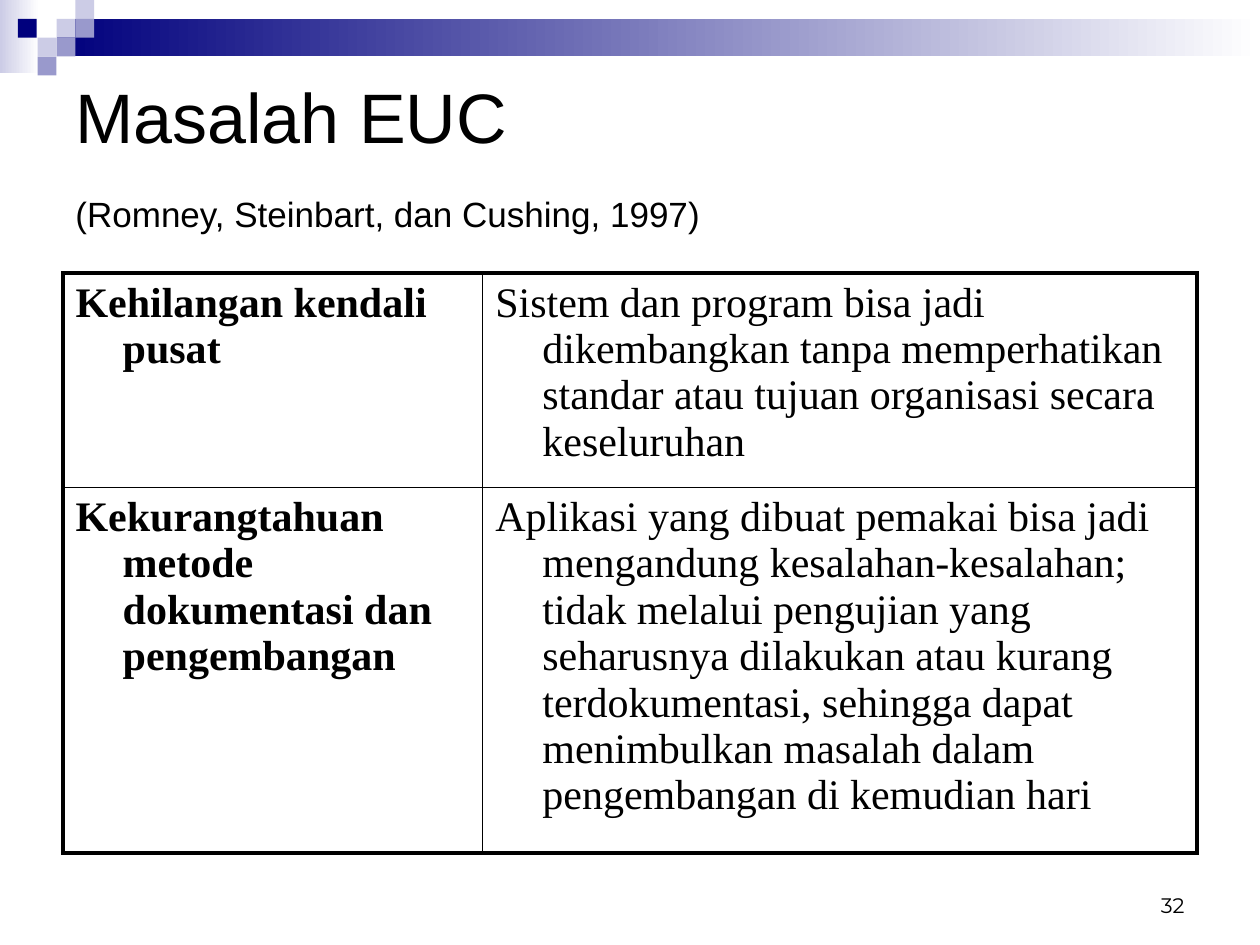
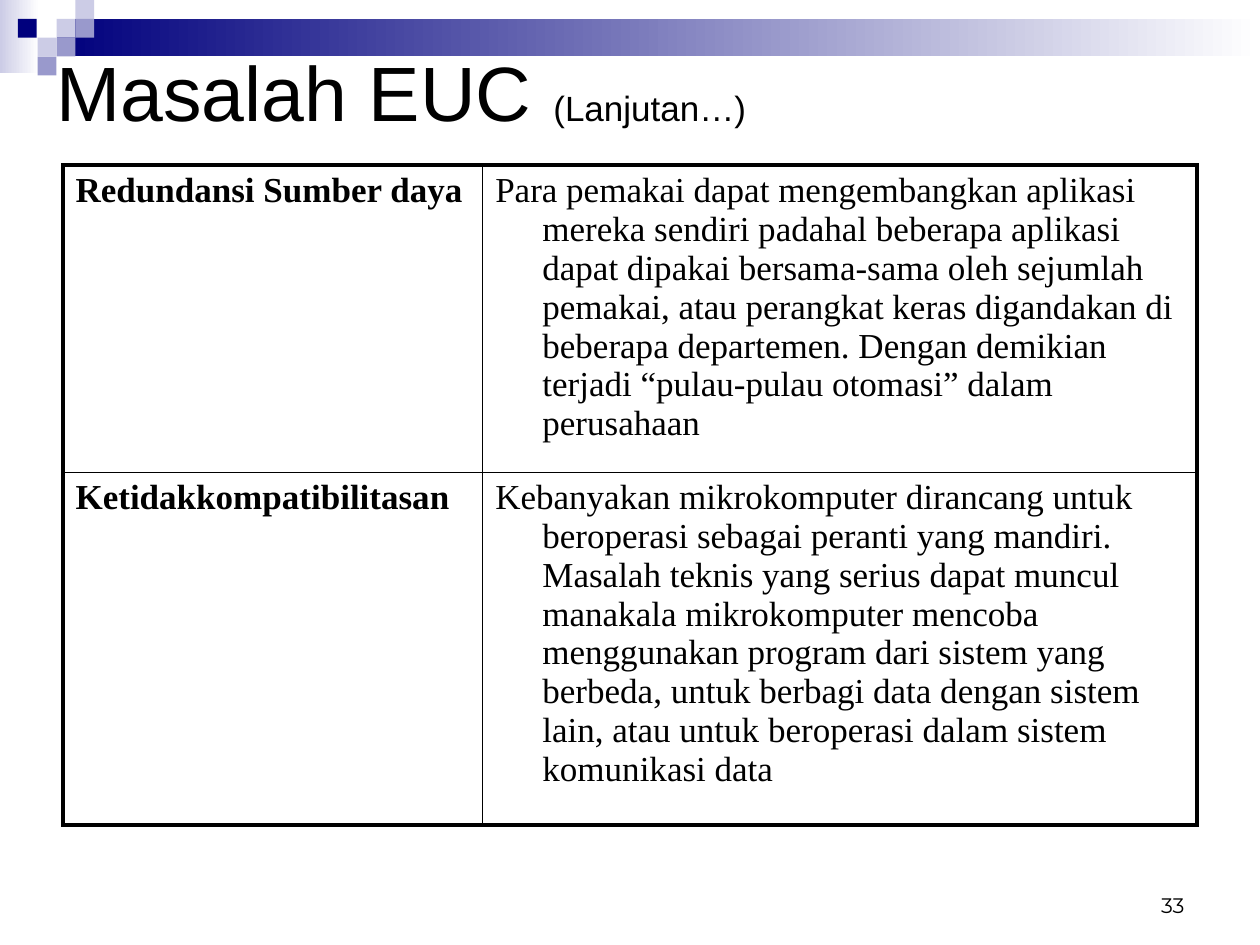
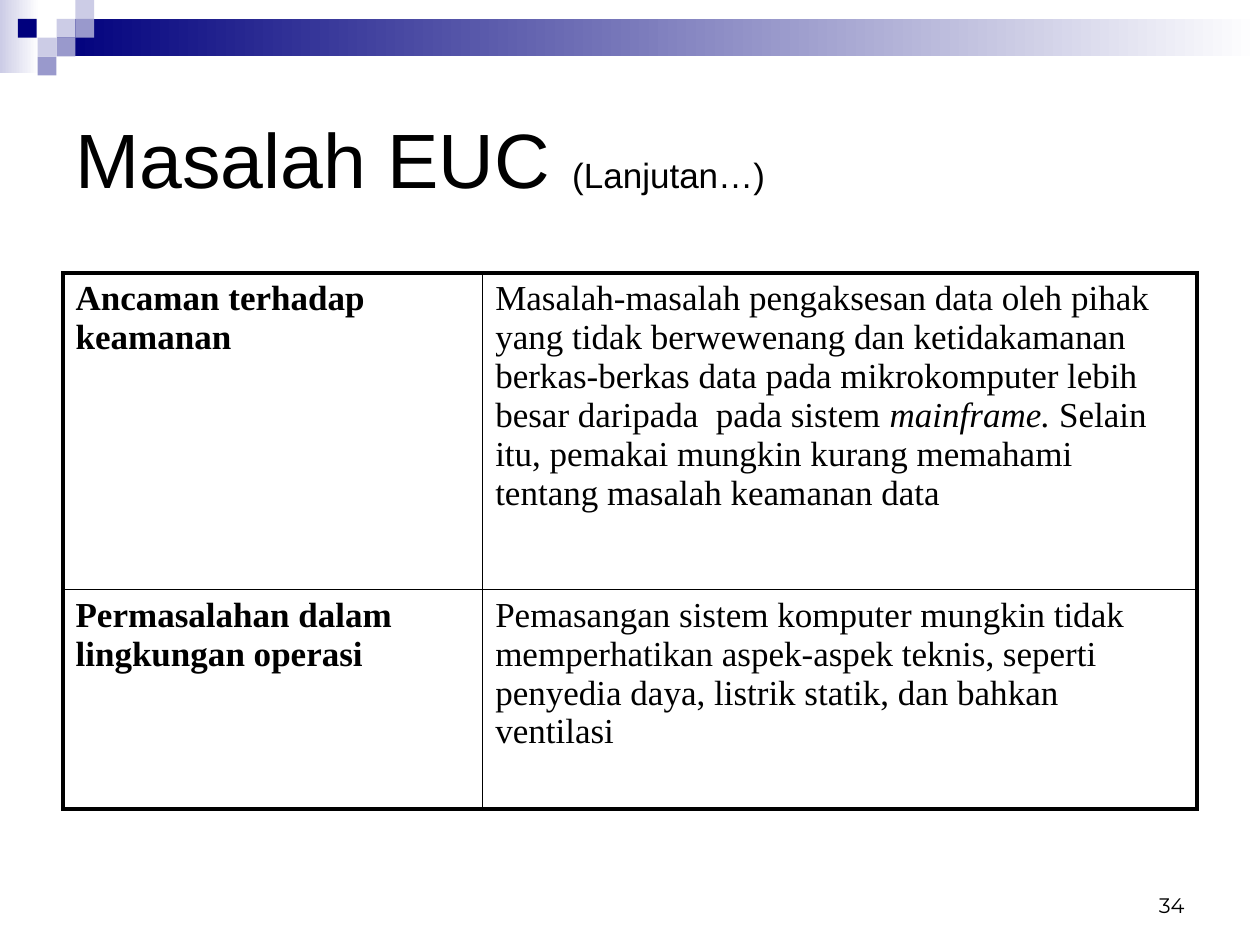
from lxml import etree
from pptx import Presentation
from pptx.dml.color import RGBColor
from pptx.enum.shapes import MSO_SHAPE
from pptx.enum.text import MSO_ANCHOR, PP_ALIGN
from pptx.oxml.ns import qn
from pptx.util import Cm, Pt

RECTANGLE = MSO_SHAPE.RECTANGLE
MIDDLE, BOTTOM = MSO_ANCHOR.MIDDLE, MSO_ANCHOR.BOTTOM
LEFT, RIGHT = PP_ALIGN.LEFT, PP_ALIGN.RIGHT

COLORS = {
    "text": "000000",
    "paper": "FFFFFF",
    "navy": "00007D",
    "violet": "9999CC",
    "pale": "CCCCE6",
}
TITLE_FONT, TABLE_FONT, NUMBER_FONT = "Arial", "Times New Roman", "Montserrat"
SQUARE = 0.38
MOSAIC = [
    (3, 1, "pale"),
    (4, 0, "pale"),
    (4, 1, "violet"),
    (2, 2, "pale"),
    (0.95, 1, "navy"),
    (3, 2, "violet"),
    (2, 3, "violet"),
]
COLUMNS = [8.46, 14.4]
OUTER_LINE, INNER_LINE = 2.5, 0.45
HANGING = 0.95

SLIDES = [
    {
        "number": 32,
        "title": [("Masalah EUC\v", 40), ("(Romney, Steinbart, dan Cushing, 1997)", 20), (" ", 40)],
        "title_at": (1.27, 1.27),
        "table_top": 5.51,
        "heights": [4.32, 7.37],
        "size": 24,
        "hanging": HANGING,
        "rows": [
            ("Kehilangan kendali pusat",
             ["Sistem dan program bisa jadi dikembangkan tanpa memperhatikan standar atau "
              "tujuan organisasi secara keseluruhan"]),
            ("Kekurangtahuan metode dokumentasi dan pengembangan",
             ["Aplikasi yang dibuat pemakai bisa jadi mengandung kesalahan-kesalahan; tidak "
              "melalui pengujian yang seharusnya dilakukan atau kurang terdokumentasi, "
              "sehingga dapat menimbulkan masalah dalam pengembangan di kemudian hari"]),
        ],
    },
    {
        "number": 33,
        "title": [("Masalah EUC ", 44), ("(Lanjutan…)", 20)],
        "title_at": (0.89, -0.08),
        "table_top": 3.33,
        "heights": [6.17, 7.11],
        "size": 20,
        "hanging": HANGING,
        "rows": [
            ("Redundansi Sumber daya",
             ["Para pemakai dapat mengembangkan aplikasi mereka sendiri padahal beberapa "
              "aplikasi dapat dipakai bersama-sama oleh sejumlah pemakai, atau perangkat "
              "keras digandakan di beberapa departemen. Dengan demikian terjadi "
              "“pulau-pulau otomasi” dalam perusahaan"]),
            ("Ketidakkompatibilitasan",
             ["Kebanyakan mikrokomputer dirancang untuk beroperasi sebagai peranti yang "
              "mandiri. Masalah teknis yang serius dapat muncul manakala mikrokomputer "
              "mencoba menggunakan program dari sistem yang berbeda, untuk berbagi data "
              "dengan sistem lain, atau untuk beroperasi dalam sistem komunikasi data"]),
        ],
    },
    {
        "number": 34,
        "title": [("Masalah EUC ", 44), ("(Lanjutan…)", 20)],
        "title_at": (1.27, 1.27),
        "table_top": 5.51,
        "heights": [6.38, 4.42],
        "size": 20,
        "hanging": 0,
        "rows": [
            ("Ancaman terhadap keamanan",
             ["Masalah-masalah pengaksesan data oleh pihak yang tidak berwewenang dan "
              "ketidakamanan berkas-berkas data pada mikrokomputer lebih besar daripada  "
              "pada sistem ",
              "mainframe.",
              " Selain itu, pemakai mungkin kurang memahami tentang masalah keamanan data"]),
            ("Permasalahan dalam lingkungan operasi",
             ["Pemasangan sistem komputer mungkin tidak memperhatikan aspek-aspek teknis, "
              "seperti penyedia daya, listrik statik, dan bahkan ventilasi"]),
        ],
    },
]


def color(name):
    return RGBColor.from_string(COLORS[name])


def add_text(para, text, font=TITLE_FONT, size=20, bold=False, italic=False):
    for index, line in enumerate(text.split("\v")):
        if index:
            para.add_line_break()
        if line:
            span = para.add_run()
            span.text = line
            span.font.name = font
            span.font.size = Pt(size)
            span.font.bold = bold
            span.font.italic = italic
            span.font.color.rgb = color("text")


class Builder:
    def __init__(self):
        self.deck = Presentation()
        self.deck.slide_width, self.deck.slide_height = Cm(25.4), Cm(19.05)
        self.page = None

    def new_page(self):
        self.page = self.deck.slides.add_slide(self.deck.slide_layouts[6])
        self.rectangle(0, 0, 0.79, 1.47, "pale", "paper")
        self.rectangle(3 * SQUARE, SQUARE, 25.4 - 3 * SQUARE, 2 * SQUARE, "navy", "paper")
        for column, row, name in MOSAIC:
            self.rectangle(column * SQUARE, row * SQUARE, SQUARE, SQUARE, name)

    def rectangle(self, left, top, width, height, start, end=None):
        box = self.page.shapes.add_shape(RECTANGLE, Cm(left), Cm(top), Cm(width), Cm(height))
        box.shadow.inherit = False
        box.line.fill.background()
        if end is None:
            box.fill.solid()
            box.fill.fore_color.rgb = color(start)
            return
        box.fill.gradient()
        box.fill.gradient_angle = 0
        for stop, position, name in zip(box.fill.gradient_stops, (0, 1), (start, end)):
            stop.position = position
            stop.color.rgb = color(name)

    def text_box(self, left, top, width, height, spans, font, anchor, align=LEFT):
        box = self.page.shapes.add_textbox(Cm(left), Cm(top), Cm(width), Cm(height))
        frame = box.text_frame
        frame.word_wrap = True
        frame.vertical_anchor = anchor
        para = frame.paragraphs[0]
        para.alignment = align
        for text, size in spans:
            add_text(para, text, font=font, size=size)

    def title(self, spans, left, top):
        self.text_box(left, top, 22.86, 3.81, spans, TITLE_FONT, MIDDLE)

    def number(self, value):
        self.text_box(18.21, 17.35, 5.92, 1.27, [(str(value), 12)], NUMBER_FONT, BOTTOM, RIGHT)

    def borders(self, cell, widths):
        properties = cell._tc.get_or_add_tcPr()
        for index, (side, width) in enumerate(widths.items()):
            line = etree.Element(qn(f"a:ln{side}"), w=str(Pt(width)))
            fill = etree.SubElement(line, qn("a:solidFill"))
            etree.SubElement(fill, qn("a:srgbClr"), val=COLORS["text"])
            properties.insert(index, line)

    def cell(self, cell, spans, size, hanging, bold):
        cell.fill.background()
        para = cell.text_frame.paragraphs[0]
        indent = para._p.get_or_add_pPr()
        indent.set("marL", str(Cm(hanging)))
        indent.set("indent", str(-Cm(hanging)))
        for index, text in enumerate(spans):
            add_text(para, text, font=TABLE_FONT, size=size, bold=bold, italic=index == 1)

    def table(self, top, heights, rows, size, hanging):
        frame = self.page.shapes.add_table(
            len(rows), len(COLUMNS), Cm(1.27), Cm(top), Cm(sum(COLUMNS)), Cm(sum(heights)))
        table = frame.table
        table.first_row = table.horz_banding = False
        for column, width in zip(table.columns, COLUMNS):
            column.width = Cm(width)
        for row, (height, (problem, explanation)) in enumerate(zip(heights, rows)):
            table.rows[row].height = Cm(height)
            for column, spans in enumerate(([problem], explanation)):
                cell = table.cell(row, column)
                self.cell(cell, spans, size, hanging, bold=column == 0)
                outside = {
                    "L": column == 0,
                    "R": column == len(COLUMNS) - 1,
                    "T": row == 0,
                    "B": row == len(rows) - 1,
                }
                self.borders(cell, {side: OUTER_LINE if edge else INNER_LINE
                                    for side, edge in outside.items()})


def main():
    builder = Builder()
    for slide in SLIDES:
        builder.new_page()
        builder.number(slide["number"])
        builder.title(slide["title"], *slide["title_at"])
        builder.table(slide["table_top"], slide["heights"], slide["rows"],
                      slide["size"], slide["hanging"])
    builder.deck.save("out.pptx")


if __name__ == "__main__":
    main()
